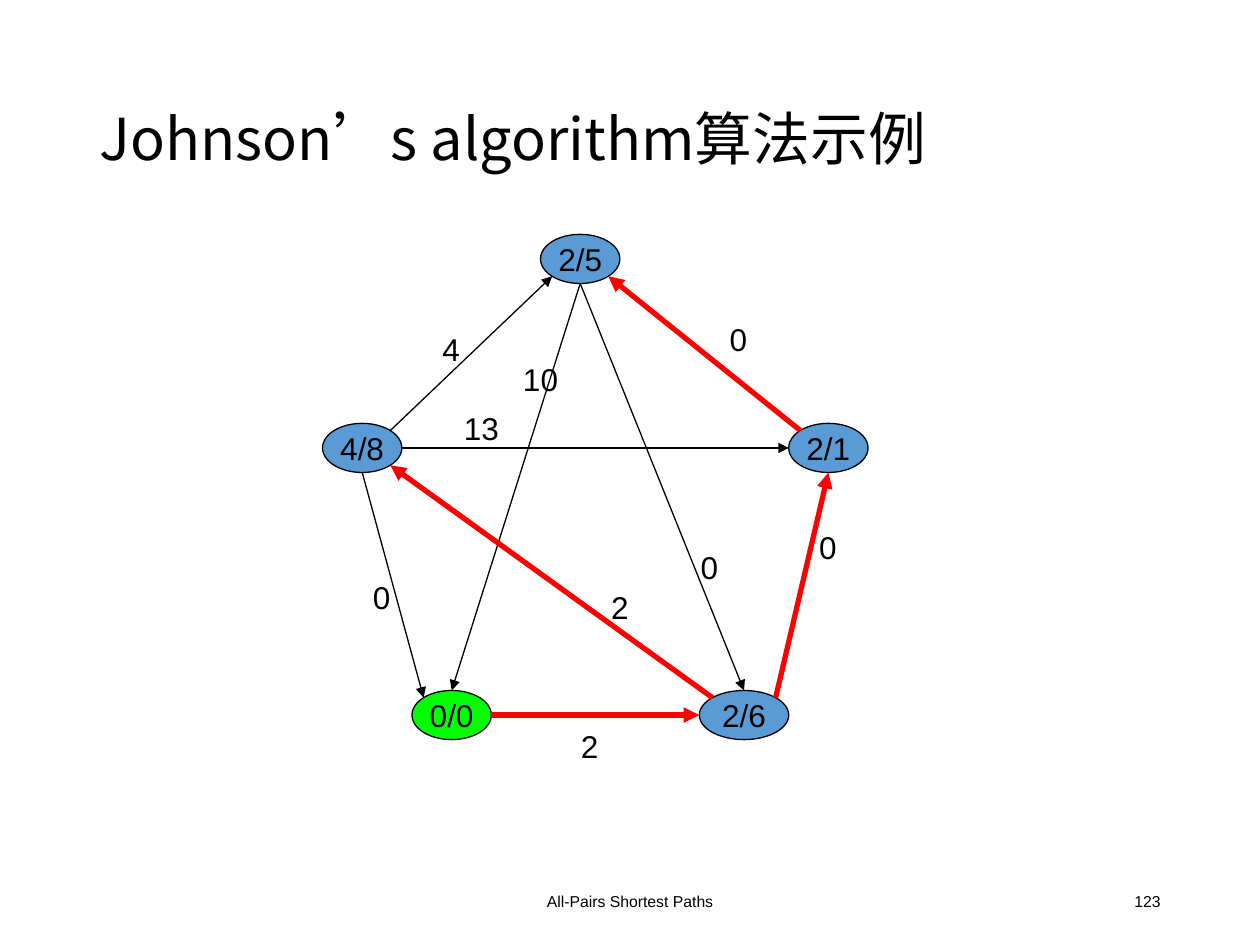
from math import cos, radians, sin

from lxml.etree import SubElement
from pptx import Presentation
from pptx.dml.color import RGBColor
from pptx.enum.shapes import MSO_CONNECTOR, MSO_SHAPE
from pptx.enum.text import MSO_ANCHOR, MSO_AUTO_SIZE, PP_ALIGN
from pptx.oxml.ns import qn
from pptx.util import Inches, Pt

BLACK = RGBColor(0x00, 0x00, 0x00)
BLUE = RGBColor(0x5B, 0x9B, 0xD5)
GREEN = RGBColor(0x00, 0xFF, 0x00)
RED = RGBColor(0xFF, 0x00, 0x00)
TITLE_FONT = "Noto Sans CJK SC"

# Angle of each attachment point on an ellipse, clockwise from the right
ANGLES = {"right": 0, "bottom right": 45, "bottom": 90, "left": 180,
          "top left": 225, "top": 270, "top right": 315}

# Text: left, top, width, fill
NODES = {
    "2/5": (4.29, 1.86, 0.63, BLUE),
    "4/8": (2.56, 3.36, 0.63, BLUE),
    "2/1": (6.26, 3.36, 0.63, BLUE),
    "0/0": (3.27, 5.48, 0.63, GREEN),
    "2/6": (5.55, 5.48, 0.71, BLUE),
}
NODE_HEIGHT = 0.39

# Start node and point, end node and point, on a shortest path
EDGES = [
    ("4/8", "top right", "2/5", "bottom left", False),
    ("2/1", "top left", "2/5", "bottom right", True),
    ("4/8", "bottom", "0/0", "top left", False),
    ("0/0", "right", "2/6", "left", True),
    ("2/6", "top right", "2/1", "bottom", True),
    ("2/5", "bottom", "0/0", "top", False),
    ("2/5", "bottom", "2/6", "top", False),
    ("2/6", "top left", "4/8", "bottom right", True),
    ("4/8", "right", "2/1", "left", False),
]
ANGLES["bottom left"] = 135

WEIGHTS = [("4", 3.11, 2.57), ("10", 3.82, 2.81), ("0", 5.39, 2.49),
           ("2", 4.45, 4.62), ("13", 3.35, 3.2), ("0", 2.56, 4.54),
           ("2", 4.21, 5.72), ("0", 5.16, 4.3), ("0", 6.1, 4.14)]


def write(shape, text, size=18, font="Arial", align=PP_ALIGN.CENTER,
          anchor=MSO_ANCHOR.MIDDLE, wrap=True):
    frame = shape.text_frame
    frame.word_wrap = wrap
    frame.vertical_anchor = anchor
    paragraph = frame.paragraphs[0]
    paragraph.alignment = align
    span = paragraph.add_run()
    span.text = text
    span.font.size = Pt(size)
    span.font.name = font
    span.font.color.rgb = BLACK
    return span


def add_title(page, text):
    title = page.shapes.title
    title.left, title.top = Inches(0.69), Inches(0.4)
    title.width, title.height = Inches(8.62), Inches(1.45)
    span = write(title, text, size=33, font=TITLE_FONT, align=PP_ALIGN.LEFT)
    SubElement(span.font._element, qn("a:ea"), typeface=TITLE_FONT)
    title.text_frame.auto_size = MSO_AUTO_SIZE.NONE
    title.text_frame.paragraphs[0].line_spacing = 0.9


def add_text(page, text, left, top, width, **text_format):
    box = page.shapes.add_textbox(Inches(left), Inches(top),
                                  Inches(width), Inches(0.4))
    write(box, text, **text_format)


def add_node(page, text, left, top, width, fill):
    node = page.shapes.add_shape(MSO_SHAPE.OVAL, Inches(left), Inches(top),
                                 Inches(width), Inches(NODE_HEIGHT))
    node.shadow.inherit = False
    node.fill.solid()
    node.fill.fore_color.rgb = fill
    node.line.color.rgb = BLACK
    node.line.width = Pt(0.75)
    write(node, text, wrap=False)
    return node


def point_on(node, place):
    angle = radians(ANGLES[place])
    return (round(node.left + node.width / 2 * (1 + cos(angle))),
            round(node.top + node.height / 2 * (1 + sin(angle))))


def add_edge(page, start, start_place, end, end_place, shortest):
    edge = page.shapes.add_connector(MSO_CONNECTOR.STRAIGHT,
                                     *point_on(start, start_place),
                                     *point_on(end, end_place))
    if end_place == "top":
        edge.end_connect(end, 0)
    edge.line.color.rgb = RED if shortest else BLACK
    edge.line.width = Pt(3 if shortest else 0.75)
    SubElement(edge.line._get_or_add_ln(), qn("a:tailEnd"), type="triangle")
    SubElement(edge._element.spPr, qn("a:effectLst"))


def main():
    deck = Presentation()
    deck.slide_width, deck.slide_height = Inches(10), Inches(7.5)
    page = deck.slides.add_slide(deck.slide_layouts[5])
    add_text(page, "All-Pairs Shortest Paths", 3.31, 6.95, 3.38, size=9)
    add_text(page, "123", 7.06, 6.95, 2.25, size=9, align=PP_ALIGN.RIGHT)
    add_title(page, "Johnson’s algorithm算法示例")
    nodes = {text: add_node(page, text, *place)
             for text, place in NODES.items()}
    for weight, left, top in WEIGHTS:
        add_text(page, weight, left, top, 0.94, anchor=MSO_ANCHOR.TOP)
    for start, start_place, end, end_place, shortest in EDGES:
        add_edge(page, nodes[start], start_place,
                 nodes[end], end_place, shortest)
    deck.save("out.pptx")


if __name__ == "__main__":
    main()
